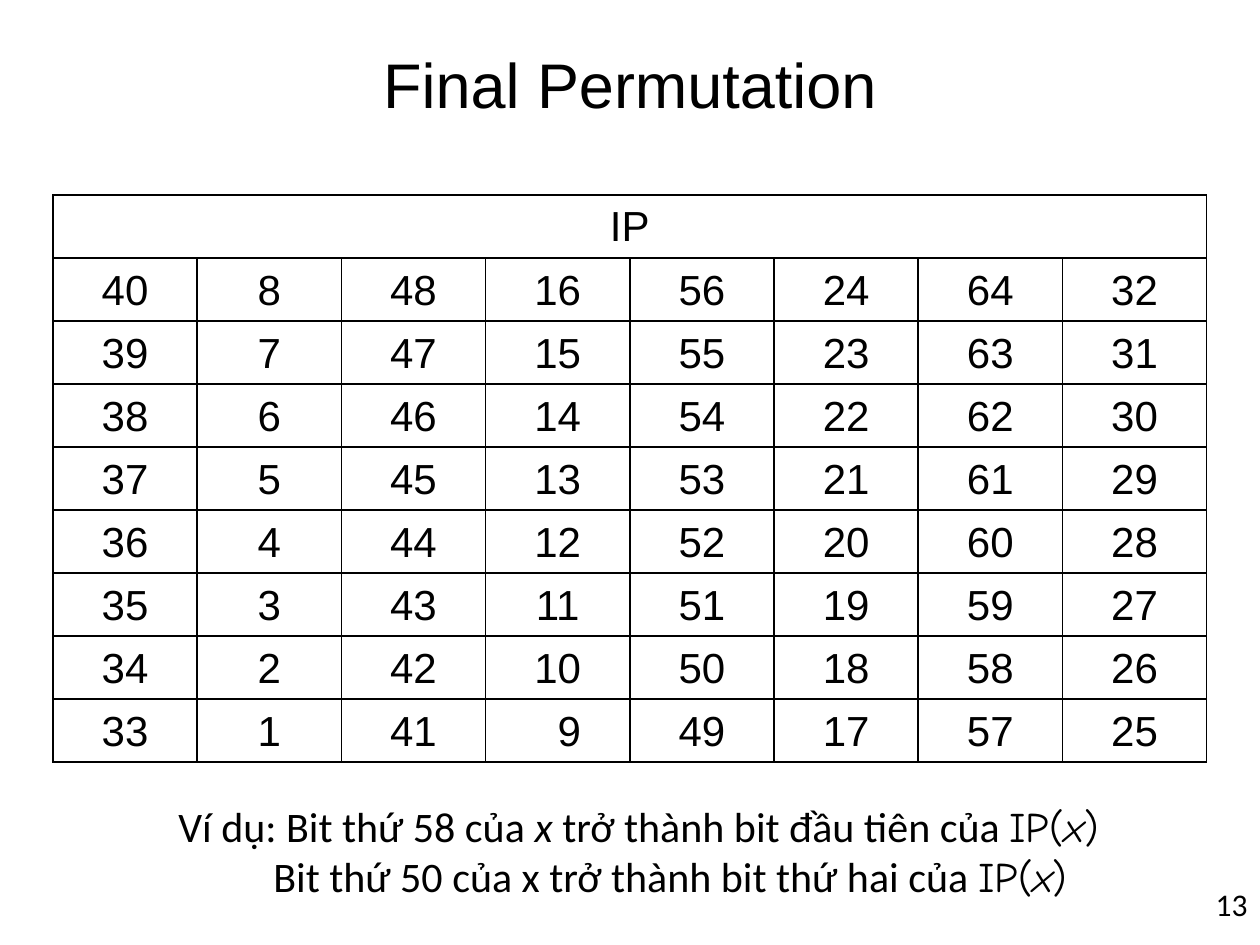
from dataclasses import dataclass

from lxml.etree import SubElement
from pptx import Presentation
from pptx.dml.color import RGBColor
from pptx.enum.text import MSO_ANCHOR as Anchor, PP_ALIGN as Align
from pptx.oxml.ns import qn
from pptx.util import Emu, Pt

PX = 914400 / 126
BLACK = RGBColor(0, 0, 0)
COLUMNS, ROWS = 8, 8
ROW_HEIGHT = 63
CELL_MARGIN = 13


@dataclass(frozen=True)
class Span:
    text: str
    font: str
    size: int = 24
    italic: bool = False


@dataclass(frozen=True)
class Line:
    spans: list[Span]
    align: Align = Align.LEFT
    indent: int = 0


@dataclass(frozen=True)
class TextBlock:
    left: int
    top: int
    width: int
    height: int
    lines: list[Line]
    anchor: Anchor = Anchor.TOP


def px(length: int) -> Emu:
    return Emu(round(length * PX))


def write_line(para, line: Line) -> None:
    para.alignment = line.align
    if line.indent:
        para._p.get_or_add_pPr().set("marL", str(px(line.indent)))
    for item in line.spans:
        span = para.add_run()
        span.text = item.text
        span.font.name = item.font
        span.font.size = Pt(item.size)
        span.font.italic = item.italic
        span.font.color.rgb = BLACK


def draw_text(page, block: TextBlock) -> None:
    box = page.shapes.add_textbox(
        px(block.left), px(block.top), px(block.width), px(block.height))
    frame = box.text_frame
    frame.word_wrap = True
    frame.vertical_anchor = block.anchor
    for index, line in enumerate(block.lines):
        para = frame.paragraphs[0] if index == 0 else frame.add_paragraph()
        write_line(para, line)


def border_cell(cell) -> None:
    """Draw a thin black line on all four sides and leave the cell unfilled."""
    properties = cell._tc.get_or_add_tcPr()
    for side in ("lnL", "lnR", "lnT", "lnB"):
        line = SubElement(properties, qn(f"a:{side}"), w=str(Pt(1)))
        fill = SubElement(line, qn("a:solidFill"))
        SubElement(fill, qn("a:srgbClr"), val=str(BLACK))
    cell.fill.background()


def fill_cell(cell, text: str, anchor: Anchor) -> None:
    cell.vertical_anchor = anchor
    write_line(cell.text_frame.paragraphs[0],
               Line([Span(text, "Arial")], Align.CENTER))


def permutation_value(row: int, column: int) -> int:
    """Even columns count down from 40, odd columns from 8, 8 more per pair."""
    start = 8 if column % 2 else 40
    return start + 8 * (column // 2) - row


def draw_permutation(page) -> None:
    table = page.shapes.add_table(
        ROWS + 1, COLUMNS, px(53), px(195), px(1154),
        px(ROW_HEIGHT * (ROWS + 1))).table
    table.first_row = table.horz_banding = False
    for cell in table.iter_cells():
        border_cell(cell)
    heading = table.cell(0, 0)
    heading.merge(table.cell(0, COLUMNS - 1))
    fill_cell(heading, "IP", Anchor.MIDDLE)
    for row in range(ROWS):
        for column in range(COLUMNS):
            fill_cell(table.cell(row + 1, column),
                      str(permutation_value(row, column)), Anchor.BOTTOM)
    # The lone 9 lines up with the units digits above it.
    table.cell(ROWS, 3).margin_left = px(CELL_MARGIN + 23)


def permuted_x() -> list[Span]:
    font = "Comic Neue"
    return [Span("IP(", font), Span("x", font, italic=True), Span(")", font)]


TITLE = TextBlock(53, 47, 1154, 73, [
    Line([Span("Final Permutation", "Arial", 36)], Align.CENTER)],
    Anchor.MIDDLE)
EXAMPLE = TextBlock(166, 794, 965, 115, [
    Line([Span("Ví dụ: Bit thứ 58 của ", "Calibri"),
          Span("x", "Calibri", italic=True),
          Span(" trở thành bit đầu tiên của ", "Calibri"), *permuted_x()]),
    Line([Span("Bit thứ 50 của x trở thành bit thứ hai của ", "Calibri"),
          *permuted_x()], indent=95)])
PAGE_NUMBER = TextBlock(966, 879, 294, 66, [
    Line([Span("13", "Calibri", 18)], Align.RIGHT)])


def main() -> None:
    deck = Presentation()
    deck.slide_width, deck.slide_height = px(1260), px(945)
    page = deck.slides.add_slide(deck.slide_layouts[6])
    draw_permutation(page)
    for block in (TITLE, EXAMPLE, PAGE_NUMBER):
        draw_text(page, block)
    deck.save("out.pptx")


if __name__ == "__main__":
    main()
